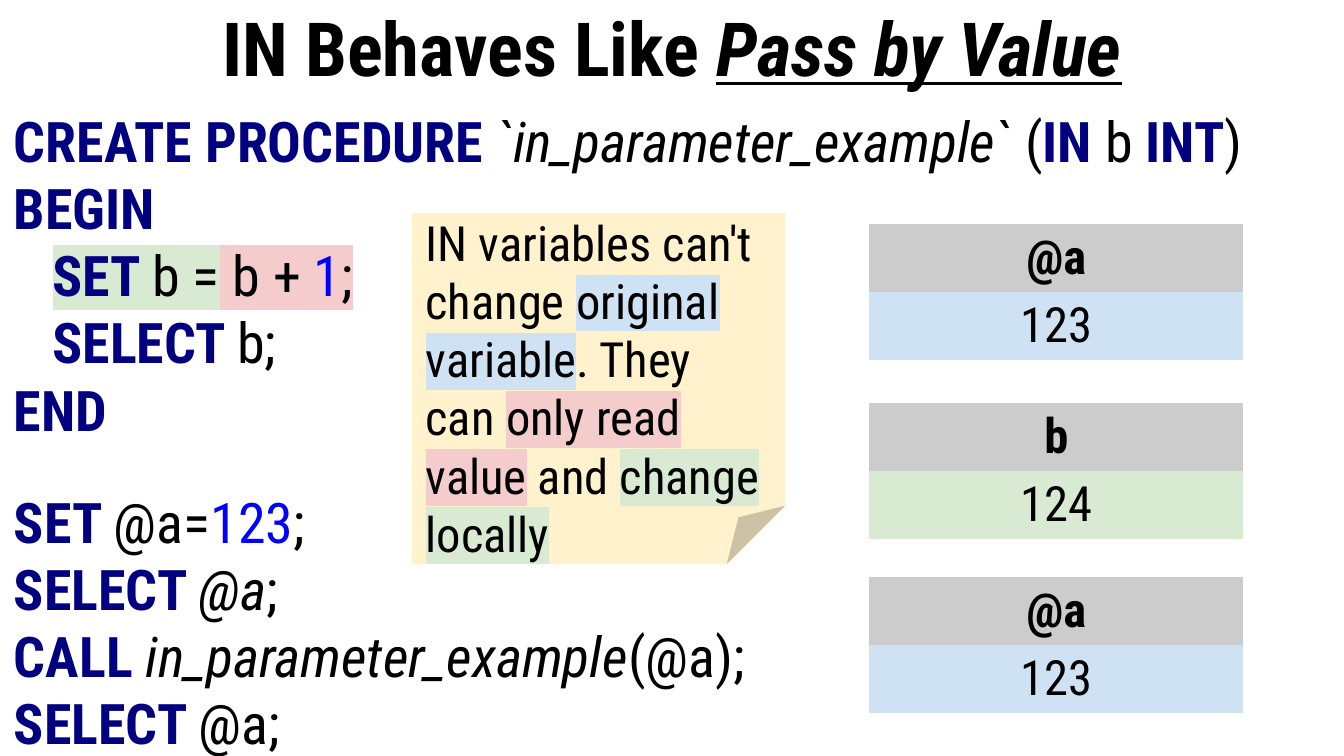
from dataclasses import dataclass
from typing import NamedTuple

from lxml.etree import SubElement
from pptx import Presentation
from pptx.dml.color import RGBColor
from pptx.enum.shapes import MSO_SHAPE
from pptx.enum.text import MSO_ANCHOR, MSO_AUTO_SIZE, PP_ALIGN
from pptx.oxml.ns import qn
from pptx.util import Pt

PX = 9525


@dataclass(frozen=True)
class Theme:
    font: str = "Roboto Condensed"
    ink: str = "000000"
    key: str = "000080"
    num: str = "0000FF"
    head: str = "CCCCCC"
    note: str = "FFF2CC"
    blue: str = "CFE2F3"
    green: str = "D9EAD3"
    red: str = "F4CCCC"
    title: int = 40
    code: int = 30
    label: int = 26
    gap: int = 24
    pad: int = 10
    plain: str = "{2D5ABB26-0587-4C30-8999-92F81FD0307C}"


T = Theme()


class Run(NamedTuple):
    text: str
    color: str = T.ink
    bold: bool = False
    italic: bool = False
    line: bool = False
    mark: str = ""


class Box(NamedTuple):
    x: int
    y: int
    w: int
    h: int

    def emu(self) -> list[int]:
        return [n * PX for n in self]


class Grid(NamedTuple):
    y: int
    name: str
    value: str
    fill: str


def key(text: str, mark: str = "") -> Run:
    return Run(text, T.key, bold=True, mark=mark)


def num(text: str, mark: str = "") -> Run:
    return Run(text, T.num, mark=mark)


def slant(text: str) -> Run:
    return Run(text, italic=True)


def write(frame, lines: list[list[Run]], *, size: int, align=PP_ALIGN.LEFT,
          anchor=MSO_ANCHOR.TOP, pad: tuple[int, int] = (T.pad, T.pad),
          gaps: dict[int, int] | None = None) -> None:
    frame.word_wrap = True
    frame.auto_size = MSO_AUTO_SIZE.NONE
    frame.vertical_anchor = anchor
    frame.margin_left = frame.margin_right = pad[0] * PX
    frame.margin_top = frame.margin_bottom = pad[1] * PX
    fill(frame, lines, size, align, gaps or {})


def fill(frame, lines: list[list[Run]], size: int, align, gaps: dict[int, int]) -> None:
    for i, line in enumerate(lines):
        para = frame.paragraphs[0] if i == 0 else frame.add_paragraph()
        para.alignment = align
        para.line_spacing = 1.0
        para.space_before = Pt(gaps.get(i, 0))
        for item in line:
            run = para.add_run()
            run.text = item.text
            font = run.font
            font.size = Pt(size)
            font.bold, font.italic, font.underline = item.bold, item.italic, item.line
            font.color.rgb = RGBColor.from_string(item.color)
            if item.mark:
                tint = SubElement(run._r.get_or_add_rPr(), qn("a:highlight"))
                SubElement(tint, qn("a:srgbClr"), val=item.mark)
            font.name = T.font


def draw_grid(slide, grid: Grid) -> None:
    box = Box(621, grid.y, 267, 96)
    table = slide.shapes.add_table(2, 1, *box.emu()).table
    table.first_row = table.horz_banding = False
    table._tbl.tblPr.find(qn("a:tableStyleId")).text = T.plain
    rows = [(Run(grid.name, bold=True), T.head), (Run(grid.value), grid.fill)]
    for i, (run, color) in enumerate(rows):
        cell = table.cell(i, 0)
        cell.fill.solid()
        cell.fill.fore_color.rgb = RGBColor.from_string(color)
        cell.margin_left = cell.margin_right = T.pad * PX
        cell.margin_top = cell.margin_bottom = 4 * PX
        fill(cell.text_frame, [[run]], T.label, PP_ALIGN.CENTER, {})


def draw_note(slide, box: Box, line: list[Run]) -> None:
    note = slide.shapes.add_shape(MSO_SHAPE.FOLDED_CORNER, *box.emu())
    note.shadow.inherit = False
    note.fill.solid()
    note.fill.fore_color.rgb = RGBColor.from_string(T.note)
    note.line.fill.background()
    write(note.text_frame, [line], size=T.label, pad=(T.pad, 0))


CODE = [
    [key("CREATE PROCEDURE "), slant("`in_parameter_example` "), Run("("),
     key("IN "), Run("b "), key("INT"), Run(")")],
    [key("BEGIN")],
    [Run("   "), key("SET ", T.green), Run("b =", mark=T.green),
     Run(" b + ", mark=T.red), num("1", T.red), Run(";", mark=T.red)],
    [Run("   "), key("SELECT "), Run("b;")],
    [key("END")],
    [key("SET "), Run("@a="), num("123"), Run(";")],
    [key("SELECT "), slant("@a"), Run(";")],
    [key("CALL "), slant("in_parameter_example"), Run("(@a);")],
    [key("SELECT "), Run("@a;")],
]

NOTE = [
    Run("IN variables can't change "), Run("original variable", mark=T.blue),
    Run(". They can "), Run("only read value", mark=T.red),
    Run(" and "), Run("change locally", mark=T.green),
]

GRIDS = [
    Grid(160, "@a", "123", T.blue),
    Grid(288, "b", "124", T.green),
    Grid(412, "@a", "123", T.blue),
]


def main() -> None:
    deck = Presentation()
    deck.slide_width, deck.slide_height = 960 * PX, 540 * PX
    slide = deck.slides.add_slide(deck.slide_layouts[5])

    title = slide.shapes.title
    title.left, title.top, title.width, title.height = Box(0, 0, 960, 66).emu()
    head = [Run("IN Behaves Like ", bold=True),
            Run("Pass by Value", bold=True, italic=True, line=True)]
    write(title.text_frame, [head], size=T.title, align=PP_ALIGN.CENTER,
          anchor=MSO_ANCHOR.MIDDLE)

    body = slide.shapes.add_textbox(*Box(0, 66, 960, 474).emu())
    write(body.text_frame, CODE, size=T.code, gaps={5: T.gap})

    for grid in GRIDS:
        draw_grid(slide, grid)
    draw_note(slide, Box(294, 152, 267, 251), NOTE)
    deck.save("out.pptx")


if __name__ == "__main__":
    main()
